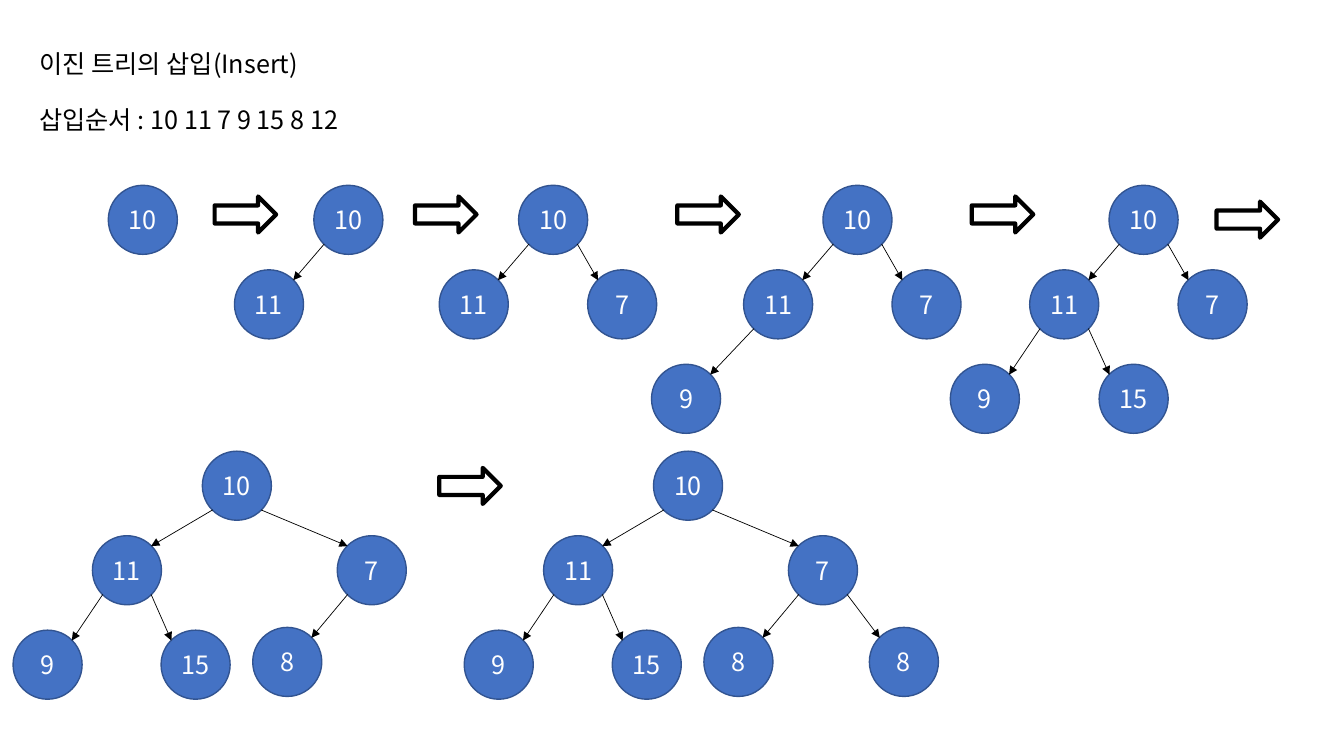
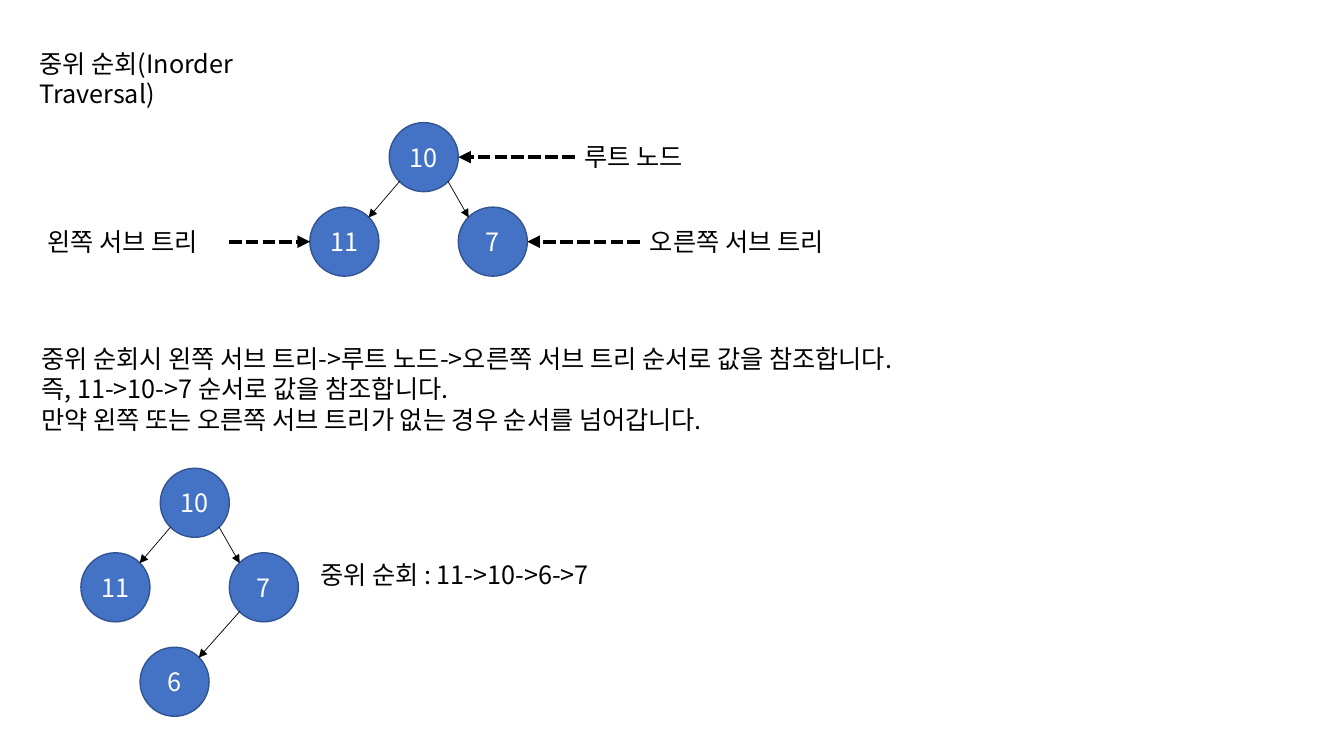
from dataclasses import dataclass

from lxml import etree
from pptx import Presentation
from pptx import util as u
from pptx.dml.color import RGBColor
from pptx.enum import dml, shapes, text
from pptx.oxml.ns import qn

Cm, Pt = u.Cm, u.Pt


@dataclass(frozen=True)
class Theme:
    font: str = "Noto Sans CJK KR"
    size: float = 18
    ink: str = "000000"
    node: str = "4472C4"
    rim: str = "325491"
    light: str = "FFFFFF"
    thin: float = 0.5
    edge: float = 1
    bold: float = 3


T = Theme()

# Content: a node is (label, shift from root, drop from root, parent index)
ROW1, ROW2, ROW3 = 2.13, 4.51, 4.44
ROOT = ("10", 0, 0, None)
LEFT, RIGHT = ("11", -2, ROW1, 0), ("7", 1.74, ROW1, 0)
SMALL = [ROOT, LEFT, RIGHT]
WIDE = [ROOT, ("11", -2.77, ROW1, 0), ("7", 3.4, ROW1, 0),
        ("9", -4.77, ROW2, 1), ("15", -1.04, ROW2, 1), ("8", 1.27, ROW3, 2)]

PAGES = [
    dict(
        title="이진 트리의 삽입(Insert)",
        body=["삽입순서 : 10 11 7 9 15 8 12"],
        area=(0.74, 2.49, 12, 1.03),
        trees=[  # root left, root top, nodes
            (2.73, 4.67, [ROOT]),
            (7.91, 4.67, [ROOT, LEFT]),
            (13.07, 4.67, SMALL),
            (20.74, 4.67, SMALL + [("9", -4.32, ROW2, 1)]),
            (27.95, 4.67, SMALL + [("9", -4, ROW2, 1), ("15", -0.25, ROW2, 1)]),
            (5.1, 11.37, WIDE),
            (16.47, 11.37, WIDE + [("8", 5.44, ROW3, 2)]),
        ],
        steps=[(5.41, 4.95), (10.46, 4.95), (17.07, 4.95), (24.49, 4.95),
               (30.66, 5.08), (11.07, 11.79)],
    ),
    dict(
        title="중위 순회(Inorder Traversal)",
        body=["중위 순회시 왼쪽 서브 트리->루트 노드->오른쪽 서브 트리 순서로 값을 참조합니다.",
              "즉, 11->10->7 순서로 값을 참조합니다.",
              "만약 왼쪽 또는 오른쪽 서브 트리가 없는 경우 순서를 넘어갑니다."],
        area=(0.79, 8.53, 24.87, 2.57),
        trees=[(9.81, 3.09, SMALL),
               (4.04, 11.8, SMALL + [("6", -0.51, ROW2, 2)])],
        # label, left, width, node index in the first tree
        tags=[("루트 노드", 14.48, 3.3, 0),
              ("오른쪽 서브 트리", 16.13, 5.46, 2),
              ("왼쪽 서브 트리", 0.94, 4.83, 1)],
        note=("중위 순회 : 11->10->6->7", 7.82, 13.97, 8.15),
    ),
]

# Shared measures
DIAM = 1.74
IN = DIAM * 0.15
LINE = 1.03
STEP = (1.55, 0.91)
HEAD = (0.74, 1.09, 8, 1.9)
# Connection sites of a circle, as (index, x, y)
WEST, EAST = (2, 0, DIAM / 2), (6, DIAM, DIAM / 2)
NW, NE = (1, IN, IN), (7, DIAM - IN, IN)
SW, SE = (3, IN, DIAM - IN), (5, DIAM - IN, DIAM - IN)


def rgb(code):
    return RGBColor.from_string(code)


def place(box, area):
    box.left, box.top, box.width, box.height = map(Cm, area)


def put(box, *lines, color=T.ink, align=text.PP_ALIGN.LEFT,
        anchor=text.MSO_ANCHOR.TOP, wrap=False, pad=None):
    """Write lines as paragraphs, without bullets."""
    frame = box.text_frame
    frame.auto_size = text.MSO_AUTO_SIZE.NONE
    frame.word_wrap = wrap
    frame.vertical_anchor = anchor
    if pad is not None:
        frame.margin_left = frame.margin_right = Cm(pad)
        frame.margin_top = frame.margin_bottom = Cm(pad)
    for i, line in enumerate(lines):
        para = frame.add_paragraph() if i else frame.paragraphs[0]
        para.alignment = align
        para.space_before = Pt(0)
        props = para._p.get_or_add_pPr()
        props.set("marL", "0")
        props.set("indent", "0")
        etree.SubElement(props, qn("a:buNone"))
        run = para.add_run()
        run.text = line
        run.font.size, run.font.name = Pt(T.size), T.font
        run.font.color.rgb = rgb(color)
        etree.SubElement(run._r.get_or_add_rPr(), qn("a:ea"), typeface=T.font)


def label(slide, words, left, top, width):
    box = slide.shapes.add_textbox(Cm(left), Cm(top), Cm(width), Cm(LINE))
    put(box, words)


def disc(slide, words, left, top):
    node = slide.shapes.add_shape(shapes.MSO_SHAPE.FLOWCHART_CONNECTOR,
                                  Cm(left), Cm(top), Cm(DIAM), Cm(DIAM))
    node.shadow.inherit = False
    node.fill.solid()
    node.fill.fore_color.rgb = rgb(T.node)
    node.line.color.rgb, node.line.width = rgb(T.rim), Pt(T.edge)
    put(node, words, color=T.light, align=text.PP_ALIGN.CENTER,
        anchor=text.MSO_ANCHOR.MIDDLE, pad=0)
    return node


def spot(node, site):
    return node.left + Cm(site[1]), node.top + Cm(site[2])


def link(slide, start, end, glue, width=T.thin, dash=None):
    """Draw an arrow; glue lists (end tag, node, site)."""
    wire = slide.shapes.add_connector(shapes.MSO_CONNECTOR.STRAIGHT, *start, *end)
    wire.line.color.rgb, wire.line.width = rgb(T.ink), Pt(width)
    if dash:
        wire.line.dash_style = dash
    etree.SubElement(wire.line._get_or_add_ln(), qn("a:tailEnd"), type="triangle")
    etree.SubElement(wire._element.spPr, qn("a:effectLst"))
    hold = wire._element.find(".//" + qn("p:cNvCxnSpPr"))
    for tag, node, site in glue:
        etree.SubElement(hold, qn(tag), id=str(node.shape_id), idx=str(site[0]))


def tree(slide, left, top, nodes):
    discs = [disc(slide, name, left + dx, top + dy) for name, dx, dy, _ in nodes]
    for kid, (_, dx, _, up) in zip(discs, nodes):
        if up is None:
            continue
        head = discs[up]
        out, into = (SW, NE) if dx < nodes[up][1] else (SE, NW)
        link(slide, spot(head, out), spot(kid, into),
             [("a:stCxn", head, out), ("a:endCxn", kid, into)])
    return discs


def tag(slide, node, words, left, width):
    """Label a node with a dashed pointer from the nearer box edge."""
    mid = node.top + Cm(DIAM / 2)
    label(slide, words, left, u.Length(mid).cm - LINE / 2, width)
    after = Cm(left) > node.left
    site = EAST if after else WEST
    start = Cm(left if after else left + width)
    link(slide, (start, mid), spot(node, site), [("a:endCxn", node, site)],
         width=T.bold, dash=dml.MSO_LINE.SQUARE_DOT)


def step(slide, left, top):
    arrow = slide.shapes.add_shape(shapes.MSO_SHAPE.RIGHT_ARROW,
                                   Cm(left), Cm(top), *map(Cm, STEP))
    arrow.shadow.inherit = False
    arrow.fill.background()
    arrow.line.color.rgb, arrow.line.width = rgb(T.ink), Pt(T.bold)


# Build the slides
deck = Presentation()
deck.slide_width, deck.slide_height = Cm(33.87), Cm(19.05)
for page in PAGES:
    slide = deck.slides.add_slide(deck.slide_layouts[1])
    title, body = slide.placeholders
    place(title, HEAD)
    put(title, page["title"], wrap=True)
    place(body, page["area"])
    put(body, *page["body"], wrap=True)
    groves = [tree(slide, *spec_row) for spec_row in page["trees"]]
    for words, left, width, at in page.get("tags", []):
        tag(slide, groves[0][at], words, left, width)
    for left, top in page.get("steps", []):
        step(slide, left, top)
    if "note" in page:
        label(slide, *page["note"])
deck.save("out.pptx")
